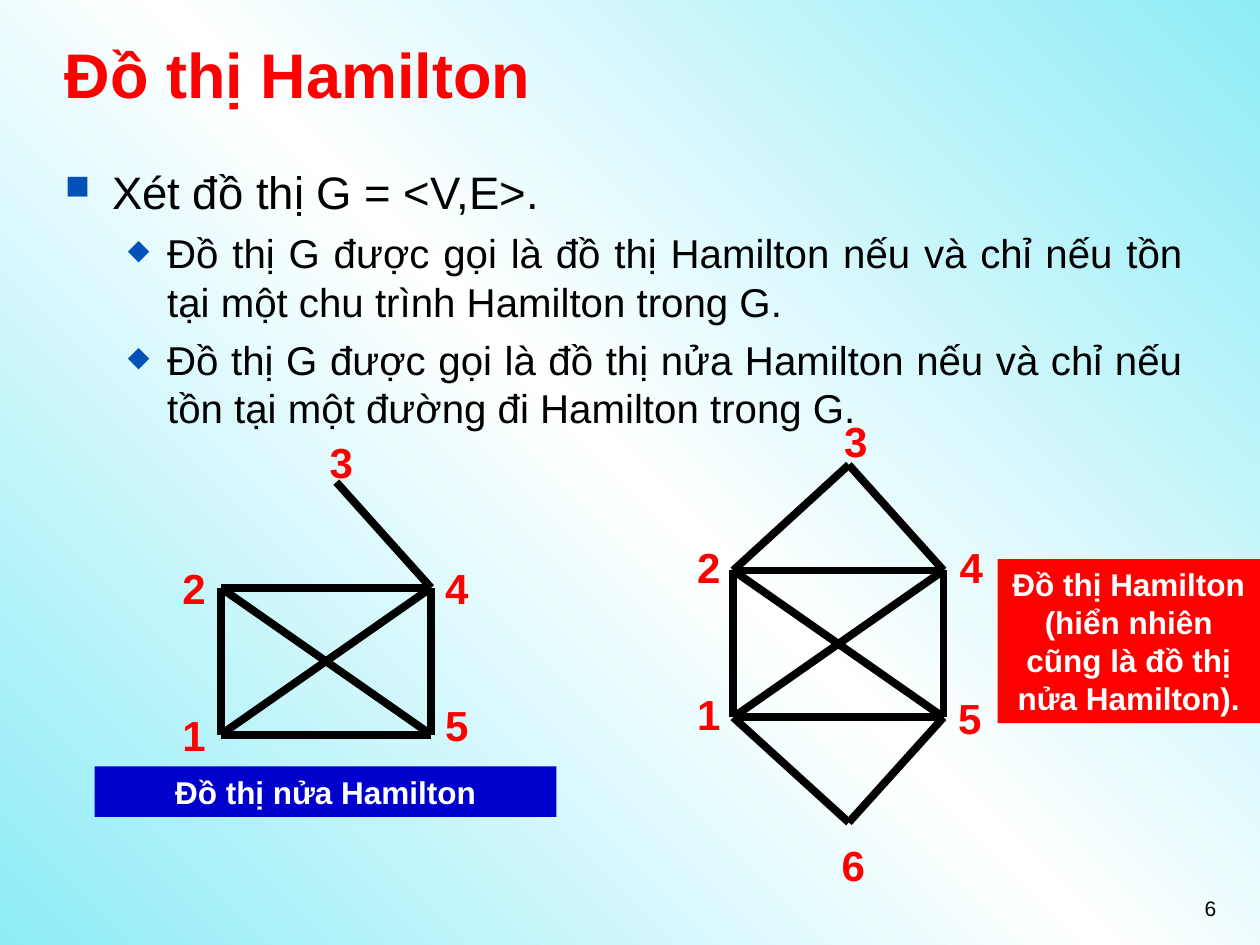
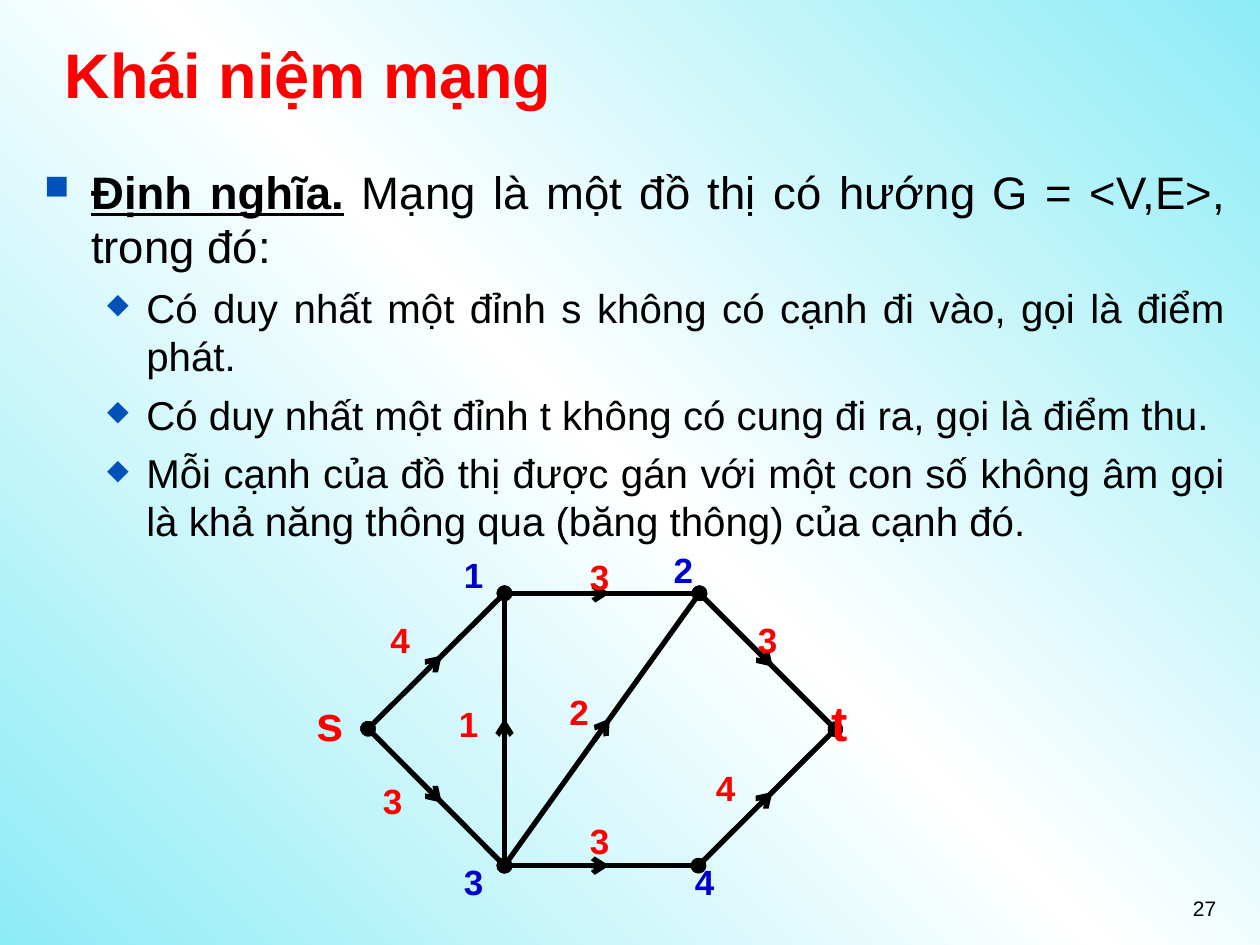
from copy import deepcopy
from dataclasses import dataclass

from pptx import Presentation
from pptx.dml.color import RGBColor
from pptx.enum.shapes import MSO_CONNECTOR, MSO_SHAPE
from pptx.enum.text import MSO_ANCHOR, PP_ALIGN
from pptx.oxml.ns import qn
from pptx.util import Cm, Pt
from lxml import etree

STRAIGHT = MSO_CONNECTOR.STRAIGHT
RECTANGLE = MSO_SHAPE.RECTANGLE
TOP, MIDDLE = MSO_ANCHOR.TOP, MSO_ANCHOR.MIDDLE
LEFT, CENTER = PP_ALIGN.LEFT, PP_ALIGN.CENTER
RIGHT, JUSTIFY = PP_ALIGN.RIGHT, PP_ALIGN.JUSTIFY


@dataclass(frozen=True)
class Theme:
    font: str = "Arial"
    red: str = "FF0000"
    blue: str = "0000CC"
    bullet: str = "0251B8"
    black: str = "000000"
    white: str = "FFFFFF"
    aqua: str = "8EECF6"
    title: float = 36
    terminal: float = 28
    vertex: float = 24
    node: float = 20
    caption: float = 18
    number: float = 12
    edge: float = 4.5
    arc: float = 3


THEME = Theme()

# Outline levels: size, space before, left indent, hanging, bullet, bullet %
LEVELS = (
    (26, 6.5, 0.95, 0.95, "■", 75),
    (23, 5.8, 2.06, 0.79, "◆", 70),
)

# Vertices of the Hamilton graphs, measured from vertex 2
VERTICES = {1: (0, 2.96), 2: (0, 0), 3: (2.33, -2.13),
            4: (4.24, 0), 5: (4.24, 2.96), 6: (2.33, 5.08)}
SQUARE = [(1, 2), (4, 5), (1, 5), (2, 4), (1, 4), (2, 5)]

# Network: nodes, node labels (place, colour, size) and weighted arcs
NODES = {"s": (7.42, 14.69), "1": (10.17, 11.96), "2": (14.1, 11.96),
         "3": (10.17, 17.45), "4": (14.08, 17.45), "t": (16.84, 14.7)}
NODE_LABELS = {
    "s": (6.14, 13.84, THEME.red, THEME.terminal),
    "t": (16.51, 13.84, THEME.red, THEME.terminal),
    "1": (9.1, 11.03, THEME.blue, THEME.node),
    "2": (13.33, 10.94, THEME.blue, THEME.node),
    "3": (9.1, 17.22, THEME.blue, THEME.node),
    "4": (13.76, 17.22, THEME.blue, THEME.node),
}
ARCS = [("s", "1", "4", (7.62, 12.35)), ("s", "3", "3", (7.47, 15.59)),
        ("2", "t", "3", (15.03, 12.35)), ("4", "t", "4", (14.18, 15.33)),
        ("1", "2", "3", (11.64, 11.08)), ("3", "4", "3", (11.64, 16.39)),
        ("3", "1", "1", (9, 14.04)), ("3", "2", "2", (11.23, 13.8))]


def rgb(color):
    return RGBColor.from_string(color)


def style(paragraph, size, color, bold=False, align=LEFT):
    paragraph.alignment = align
    font = paragraph.font
    font.name, font.size, font.bold = THEME.font, Pt(size), bold
    font.color.rgb = rgb(color)


def add_text(slide, text, box, size, color, bold=True, align=LEFT, anchor=TOP):
    frame = slide.shapes.add_textbox(*map(Cm, box)).text_frame
    frame.word_wrap = True
    frame.vertical_anchor = anchor
    frame.text = text
    style(frame.paragraphs[0], size, color, bold, align)


def add_caption(slide, text, box, fill):
    caption = slide.shapes.add_shape(RECTANGLE, *map(Cm, box))
    caption.shadow.inherit = False
    caption.fill.solid()
    caption.fill.fore_color.rgb = rgb(fill)
    caption.line.fill.background()
    frame = caption.text_frame
    frame.word_wrap = True
    frame.vertical_anchor = TOP
    frame.text = text
    style(frame.paragraphs[0], THEME.caption, THEME.white, True, CENTER)


def add_bullet(paragraph, level):
    size, before, indent, hanging, char, percent = LEVELS[level]
    paragraph.level = level
    paragraph.space_before = Pt(before)
    props = paragraph._p.get_or_add_pPr()
    props.set("marL", str(Cm(indent)))
    props.set("indent", str(-Cm(hanging)))
    color = etree.SubElement(props, qn("a:buClr"))
    etree.SubElement(color, qn("a:srgbClr"), val=THEME.bullet)
    etree.SubElement(props, qn("a:buSzPct"), val=str(percent * 1000))
    etree.SubElement(props, qn("a:buChar"), char=char)
    style(paragraph, size, THEME.black, align=JUSTIFY)


def add_outline(slide, box, items):
    """Each item is (level, text) or (level, text, underlined lead-in)."""
    frame = slide.shapes.add_textbox(*map(Cm, box)).text_frame
    frame.word_wrap = True
    for index, (level, text, *lead) in enumerate(items):
        paragraph = frame.add_paragraph() if index else frame.paragraphs[0]
        add_bullet(paragraph, level)
        for words in lead:
            run = paragraph.add_run()
            run.text = words
            run.font.bold = run.font.underline = True
        paragraph.add_run().text = text


def add_line(slide, start, end, width, head=None, tail=None):
    line = slide.shapes.add_connector(STRAIGHT, *map(Cm, (*start, *end)))
    line.line.color.rgb = rgb(THEME.black)
    line.line.width = Pt(width)
    for tag, kind in (("a:headEnd", head), ("a:tailEnd", tail)):
        if kind:
            etree.SubElement(line.line._get_or_add_ln(), qn(tag), type=kind)
    etree.SubElement(line._element.spPr, qn("a:effectLst"))


def add_hamilton_graph(slide, left, top, edges, label_places):
    def point(vertex):
        x, y = VERTICES[vertex]
        return left + x, top + y

    for start, end in edges:
        add_line(slide, point(start), point(end), THEME.edge)
    for vertex, place in label_places.items():
        add_text(slide, str(vertex), (*place, 1.9, 1.27),
                 THEME.vertex, THEME.red, align=CENTER)


def add_arc(slide, start, end):
    """Two overlapping halves, so the arrowhead sits just past the middle."""
    def along(share):
        return [a + (b - a) * share for a, b in zip(start, end)]

    add_line(slide, start, along(0.54), THEME.arc, "oval", "arrow")
    add_line(slide, along(0.46), end, THEME.arc, tail="oval")


def add_network(slide):
    for start, end, _, _ in ARCS:
        add_arc(slide, NODES[start], NODES[end])
    for name, (x, y, color, size) in NODE_LABELS.items():
        add_text(slide, name, (x, y, 1.48, 1.12), size, color)
    for _, _, weight, place in ARCS:
        add_text(slide, weight, (*place, 1.48, 1.12), THEME.node, THEME.red)


def set_background(master):
    fill = master.background.fill
    fill.gradient()
    fill.gradient_angle = 45
    stops = master.element.find(".//" + qn("a:gsLst"))
    stops.insert(1, deepcopy(stops[0]))
    colors = (THEME.aqua, THEME.white, THEME.aqua)
    for stop, position, color in zip(fill.gradient_stops, (0, 0.5, 1), colors):
        stop.position = position
        stop.color.rgb = rgb(color)


def new_slide(deck, title, number):
    slide = deck.slides.add_slide(deck.slide_layouts[6])
    add_text(slide, title, (1.06, 0.43, 23.07, 2.1),
             THEME.title, THEME.red, anchor=MIDDLE)
    add_text(slide, str(number), (18.85, 17.93, 5.92, 1.32),
             THEME.number, THEME.black, bold=False, align=RIGHT)
    return slide


def main():
    deck = Presentation()
    deck.slide_width, deck.slide_height = Cm(25.4), Cm(19.05)
    set_background(deck.slide_master)

    # Hamilton graphs
    hamilton = new_slide(deck, "Đồ thị Hamilton", 6)
    add_outline(hamilton, (1.06, 3.18, 23.07, 13.2), [
        (0, "Xét đồ thị G = <V,E>."),
        (1, "Đồ thị G được gọi là đồ thị Hamilton nếu và chỉ nếu tồn tại "
            "một chu trình Hamilton trong G."),
        (1, "Đồ thị G được gọi là đồ thị nửa Hamilton nếu và chỉ nếu tồn "
            "tại một đường đi Hamilton trong G."),
    ])
    add_hamilton_graph(
        hamilton, 4.45, 11.85, SQUARE + [(4, 3)],
        {1: (2.96, 14.18), 2: (2.96, 11.22), 3: (5.93, 8.68),
         4: (8.26, 11.22), 5: (8.26, 13.97)})
    add_hamilton_graph(
        hamilton, 14.78, 11.5, SQUARE + [(4, 3), (2, 3), (5, 6), (1, 6)],
        {1: (13.34, 13.76), 2: (13.34, 10.8), 3: (16.3, 8.26),
         4: (18.63, 10.8), 5: (18.6, 13.83), 6: (16.25, 16.8)})
    add_caption(hamilton, "Đồ thị nửa Hamilton",
                (1.91, 15.45, 9.31, 1.02), THEME.blue)
    add_caption(hamilton,
                "Đồ thị Hamilton (hiển nhiên cũng là đồ thị nửa Hamilton).",
                (20.11, 11.27, 5.29, 3.31), THEME.red)

    # Networks
    network = new_slide(deck, "Khái niệm mạng", 27)
    add_outline(network, (0.64, 3.18, 24.34, 13.84), [
        (0, " Mạng là một đồ thị có hướng G = <V,E>, trong đó:",
         "Định nghĩa."),
        (1, "Có duy nhất một đỉnh s không có cạnh đi vào, gọi là điểm phát."),
        (1, "Có duy nhất một đỉnh t không có cung đi ra, gọi là điểm thu."),
        (1, "Mỗi cạnh của đồ thị được gán với một con số không âm gọi là "
            "khả năng thông qua (băng thông) của cạnh đó."),
    ])
    add_network(network)

    deck.save("out.pptx")


if __name__ == "__main__":
    main()
